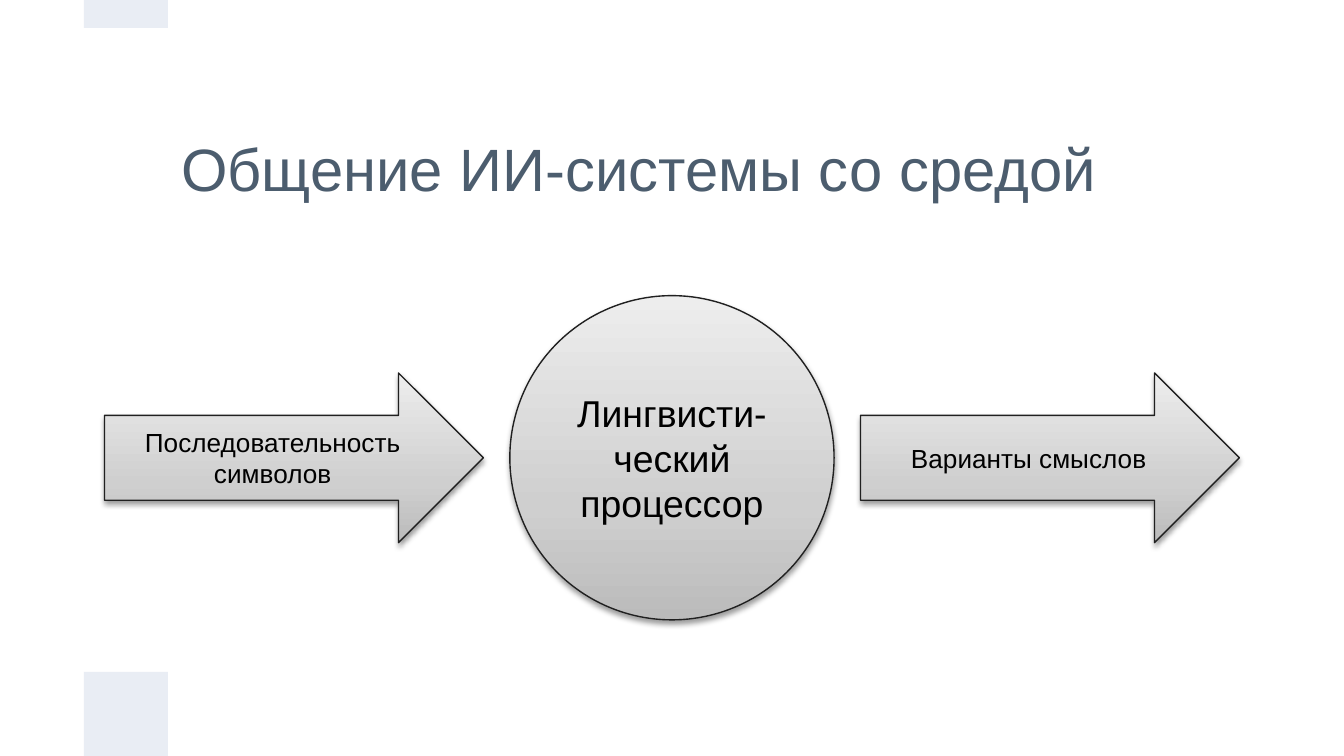
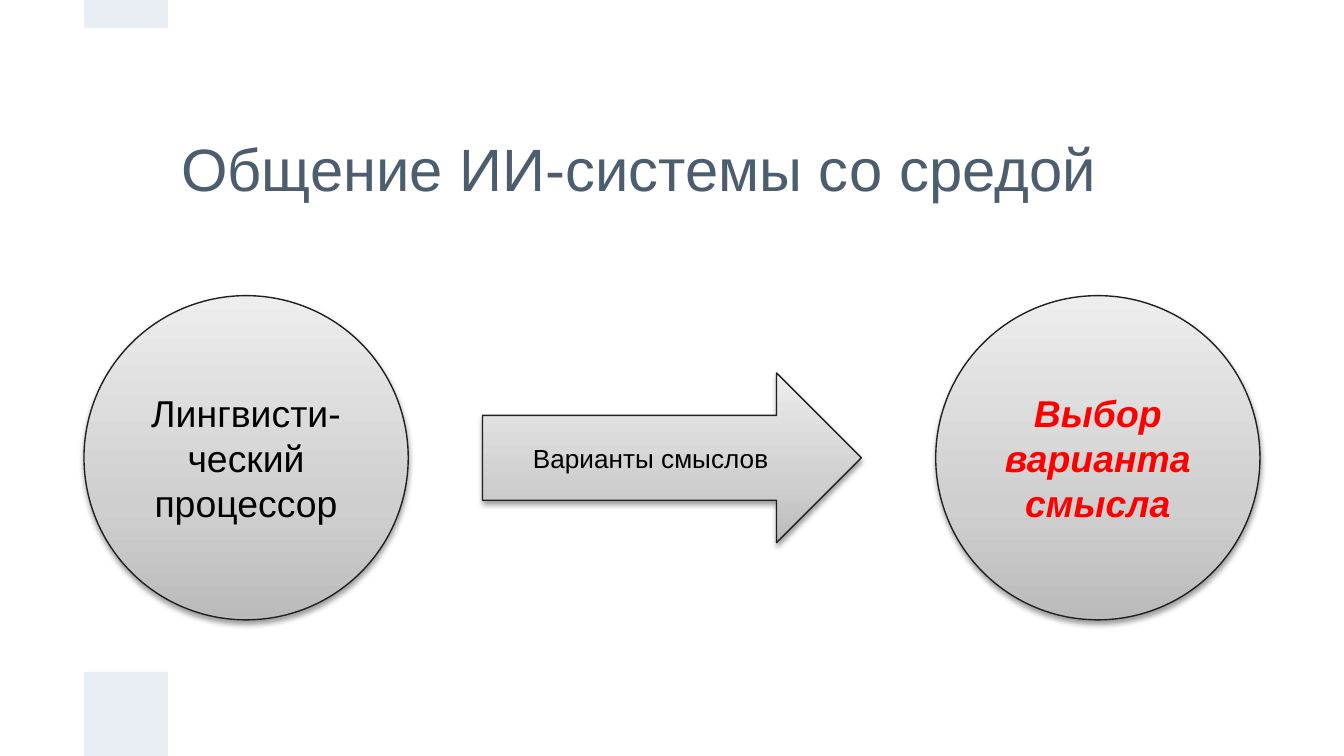
from copy import deepcopy

from lxml.etree import SubElement
from pptx import Presentation
from pptx.dml.color import RGBColor
from pptx.enum.shapes import MSO_SHAPE as Preset
from pptx.enum.text import MSO_ANCHOR as Anchor, PP_ALIGN as Align
from pptx.oxml.ns import qn
from pptx.util import Inches, Pt

COLORS = {
    "title": "4C5D6E",
    "band": "E9EDF4",
    "outline": "202020",
    "text": "000000",
    "accent": "FF0000",
}
NODE_GRADIENT = [(0, "BBBBBB"), (0.35, "CFCFCF"), (1, "EDEDED")]
FONT = "Arial"

# The slide is a grid of 16 columns by 9 rows
COLS, ROWS = 16, 9
MIDDLE = COLS / 2
FLOW_ROW = 5.45
CIRCLE_SIZE = 3.86
ARROW_WIDTH, ARROW_HEIGHT = 4.51, 2.02
ARROW_OFFSET, CIRCLE_OFFSET = 4.5, 5.07


class Deck:
    """Holds the shared style and the slide being drawn."""

    def __init__(self):
        self.prs = Presentation()
        self.prs.slide_width = Inches(10)
        self.prs.slide_height = Inches(5.625)
        self.slide = None

    def box(self, col, row, width, height):
        col_size = self.prs.slide_width / COLS
        row_size = self.prs.slide_height / ROWS
        return (round(col * col_size), round(row * row_size),
                round(width * col_size), round(height * row_size))

    def new_slide(self, heading):
        self.slide = self.prs.slides.add_slide(self.prs.slide_layouts[6])
        self.title(heading)
        self.band(ROWS - 1, 1)
        self.band(0, 1 / 3)

    def label(self, frame, wording, size, color, margin, align, emphasis=False):
        frame.word_wrap = True
        frame.vertical_anchor = Anchor.MIDDLE
        frame.margin_left = frame.margin_right = Inches(0.1)
        frame.margin_top = frame.margin_bottom = Inches(margin)
        frame.text = wording
        paragraph = frame.paragraphs[0]
        paragraph.alignment = align
        font = paragraph.runs[0].font
        font.name, font.size = FONT, Pt(size)
        font.color.rgb = RGBColor.from_string(COLORS[color])
        font.bold = font.italic = emphasis

    def title(self, heading):
        title = self.slide.shapes.add_textbox(*self.box(2, 1, 12, 2))
        self.label(title.text_frame, heading, 32, "title", 0.1, Align.LEFT)

    def band(self, row, height):
        band = self.slide.shapes.add_shape(Preset.RECTANGLE, *self.box(1, row, 1, height))
        band.shadow.inherit = False
        band.fill.solid()
        band.fill.fore_color.rgb = RGBColor.from_string(COLORS["band"])
        band.line.fill.background()

    def shade(self, node):
        """Gives a node its gradient, outline and soft shadow."""
        node.fill.gradient()
        node.fill.gradient_angle = 90
        stops = node._element.spPr.find(".//" + qn("a:gsLst"))
        stops.append(deepcopy(stops[-1]))
        for stop, (position, color) in zip(node.fill.gradient_stops, NODE_GRADIENT):
            stop.position = position
            stop.color.rgb = RGBColor.from_string(color)
        node.line.color.rgb = RGBColor.from_string(COLORS["outline"])
        node.line.width = Pt(0.75)

        node.shadow.inherit = False
        effects = node._element.spPr.find(qn("a:effectLst"))
        shadow = SubElement(effects, qn("a:outerShdw"), blurRad=str(Pt(3.1)),
                            dist=str(Pt(1.6)), dir="5400000", rotWithShape="0")
        tint = SubElement(shadow, qn("a:srgbClr"), val="000000")
        SubElement(tint, qn("a:alpha"), val="38000")

    def node(self, preset, center, width, height, wording, size, color, emphasis):
        left, top = center - width / 2, FLOW_ROW - height / 2
        node = self.slide.shapes.add_shape(preset, *self.box(left, top, width, height))
        self.shade(node)
        self.label(node.text_frame, wording, size, color, 0.05, Align.CENTER, emphasis)

    def circle(self, center, wording, color="text", emphasis=False):
        self.node(Preset.OVAL, center, CIRCLE_SIZE, CIRCLE_SIZE, wording, 20, color, emphasis)

    def arrow(self, center, wording):
        self.node(Preset.RIGHT_ARROW, center, ARROW_WIDTH, ARROW_HEIGHT,
                  wording, 14, "text", False)


def main():
    deck = Deck()
    heading = "Общение ИИ-системы со средой"
    processor = "Лингвисти-ческий процессор"
    meanings = "Варианты смыслов"

    # Symbols in, meanings out
    deck.new_slide(heading)
    deck.circle(MIDDLE, processor)
    deck.arrow(MIDDLE - ARROW_OFFSET, "Последовательность символов")
    deck.arrow(MIDDLE + ARROW_OFFSET, meanings)

    # Choice among the meanings
    deck.new_slide(heading)
    deck.circle(MIDDLE - CIRCLE_OFFSET, processor)
    deck.arrow(MIDDLE, meanings)
    deck.circle(MIDDLE + CIRCLE_OFFSET, "Выбор варианта смысла", "accent", emphasis=True)

    deck.prs.save("out.pptx")


if __name__ == "__main__":
    main()
